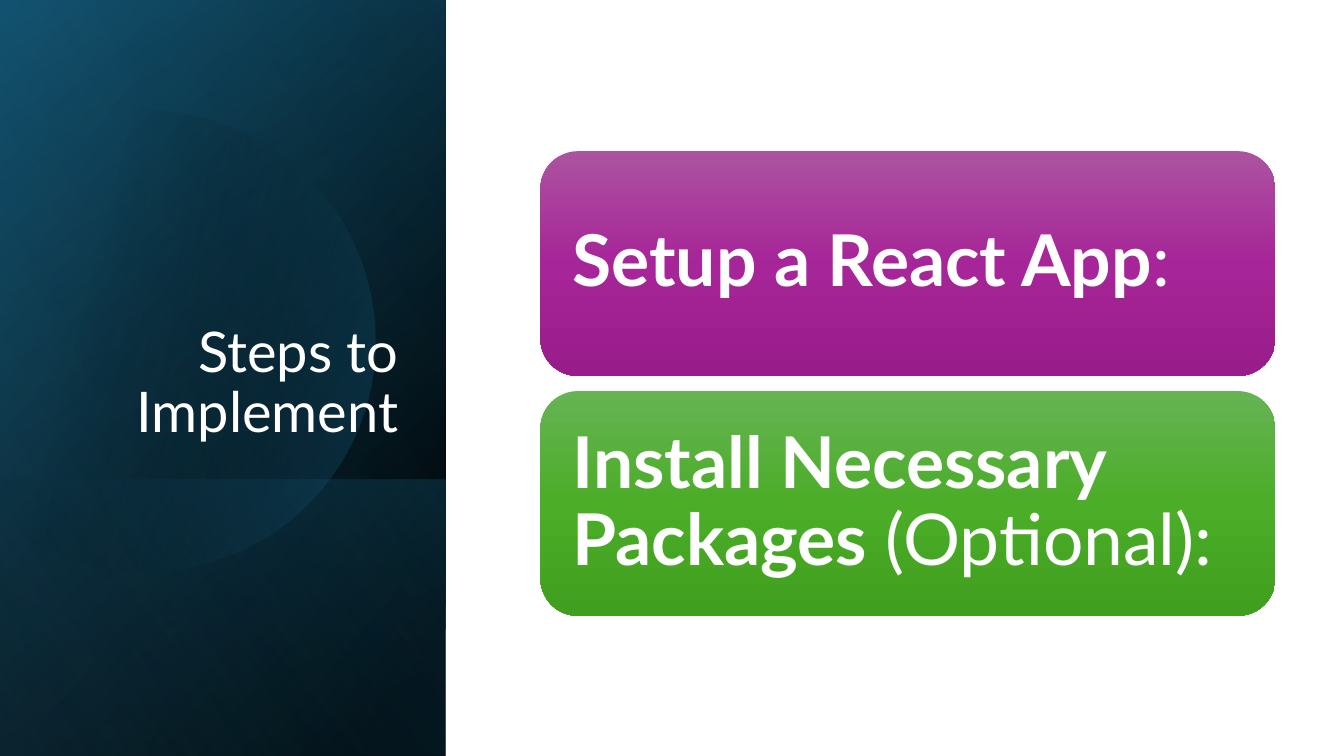
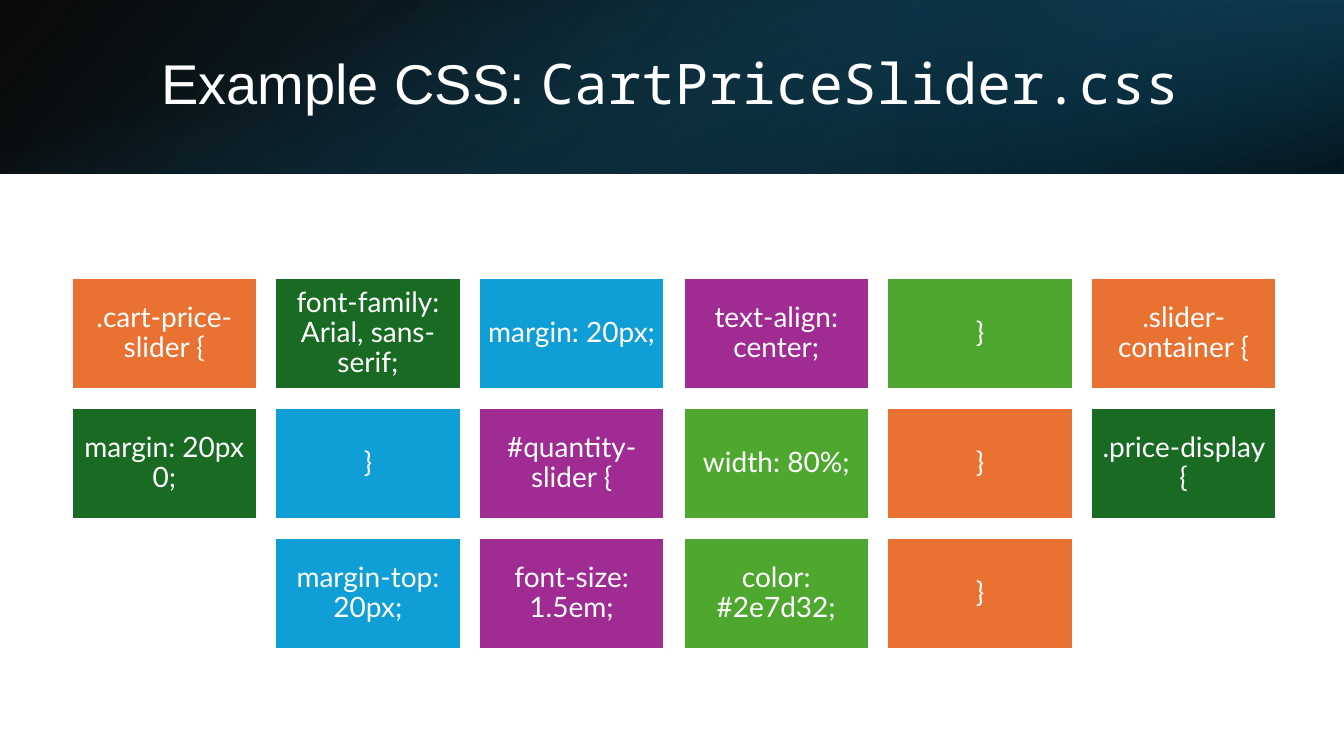
import dataclasses
import typing

import lxml.etree
import pptx
import pptx.dml.color
import pptx.enum.shapes
import pptx.enum.text
import pptx.oxml.ns
import pptx.util

PX = 9144  # EMU per px, 100 px to the inch
SLIDE_W, SLIDE_H = 1333, 750

SHAPES = pptx.enum.shapes.MSO_SHAPE
ALIGN = pptx.enum.text.PP_ALIGN
ANCHOR = pptx.enum.text.MSO_ANCHOR


@dataclasses.dataclass(frozen=True)
class Theme:
    white: str = "FFFFFF"
    black: str = "000000"
    navy: str = "104862"
    teal: str = "156082"
    deep_teal: str = "0B3041"
    sky: str = "46B1E1"
    accents: tuple[str, ...] = ("E97132", "196B24", "0F9ED5", "A02B93", "4EA72E")
    purple_card: tuple[str, ...] = ("AC53A0", "A62598", "991C8B")
    green_card: tuple[str, ...] = ("66B354", "4BAD28", "409F1E")
    body_font: str = "Lato"
    heading_font: str = "Arial"
    code_font: str = "Noto Sans Mono"
    title_size: int = 40
    card_size: int = 51
    tile_size: int = 20
    line_spacing: float = 0.9


THEME = Theme()


class Box(typing.NamedTuple):
    left: int
    top: int
    width: int
    height: int

    def emu(self) -> list[int]:
        return [value * PX for value in self]


class Stop(typing.NamedTuple):
    position: int
    color: str
    alpha: int = 100


class Gradient(typing.NamedTuple):
    angle: int
    stops: tuple[Stop, ...]


class Words(typing.NamedTuple):
    text: str
    font: str = THEME.body_font
    bold: bool = False


@dataclasses.dataclass(frozen=True)
class Layer:
    box: Box
    gradient: Gradient
    rotation: int = 90
    flipped: bool = True


@dataclasses.dataclass(frozen=True)
class Card:
    colors: tuple[str, ...]
    words: tuple[Words, ...]


# Side panel of the steps slide, from back to front
PANEL = Box(-154, 154, 750, 442)
PANEL_BACK = (
    Layer(PANEL, Gradient(50, (Stop(8, THEME.black), Stop(100, THEME.navy)))),
    Layer(PANEL, Gradient(30, (Stop(0, THEME.black, 0), Stop(99, THEME.teal, 46)))),
    Layer(Box(84, 392, 274, 442),
          Gradient(130, (Stop(2, THEME.teal, 29), Stop(100, THEME.black, 30)))),
)
PANEL_SHEEN = Layer(
    PANEL, Gradient(120, (Stop(0, THEME.black, 0), Stop(99, THEME.sky, 11))))
DISC_GLOW = Gradient(14, (Stop(29, THEME.black, 0), Stop(100, THEME.teal, 43)))

# Disc outline: a start point, then curves of two controls and an end point
DISC_START = (149, 110)
DISC_RIGHT = (
    ((246, 112), (335, 177), (363, 275)),
    ((398, 397), (328, 523), (207, 558)),
    ((131, 580), (53, 561), (-3, 514)),
)
DISC_EDGE = ((-15, 503), (-15, 175), (0, 161))
DISC_LEFT = (
    ((23, 142), (50, 128), (80, 119)),
    ((103, 113), (126, 110), DISC_START),
)
CURVE_STEPS = 24

# Header band of the stylesheet slide
HEADER_H = 172
HEADER = (
    Layer(Box(0, 0, SLIDE_W, HEADER_H),
          Gradient(140, (Stop(0, THEME.black, 96), Stop(100, THEME.navy))), 0),
    Layer(Box(889, 0, 444, HEADER_H),
          Gradient(320, (Stop(19, THEME.deep_teal, 68), Stop(100, THEME.teal, 79))), 180),
    Layer(Box(580, -580, HEADER_H, SLIDE_W),
          Gradient(340, (Stop(23, THEME.teal, 0), Stop(99, THEME.black, 74))), 90, False),
)

STEPS = (
    Card(THEME.purple_card, (Words("Setup a React App", bold=True), Words(":"))),
    Card(THEME.green_card,
         (Words("Install Necessary Packages", bold=True), Words(" (Optional):"))),
)
FIRST_CARD = Box(536, 150, 729, 223)
CARD_PITCH = 238
CARD_INSET = 21

CSS_ROWS = (
    (".cart-price-slider {", "font-family: Arial, sans-serif;", "margin: 20px;",
     "text-align: center;", "}", ".slider-container {"),
    ("margin: 20px 0;", "}", "#quantity-slider {", "width: 80%;", "}",
     ".price-display {"),
    ("margin-top: 20px;", "font-size: 1.5em;", "color: #2e7d32;", "}"),
)
TILE_GRID_LEFT, TILE_GRID_RIGHT, TILE_GRID_TOP = 71, 1266, 276
TILE_W, TILE_H, TILE_ROW_PITCH = 184, 110, 129
TILE_INSET = 8


def rgb(color: str) -> pptx.dml.color.RGBColor:
    return pptx.dml.color.RGBColor.from_string(color)


def fill_gradient(shape, gradient: Gradient) -> None:
    qn = pptx.oxml.ns.qn
    shape.shadow.inherit = False
    shape.line.fill.background()
    shape.fill.background()
    properties = shape.element.spPr
    grad = lxml.etree.Element(qn("a:gradFill"), rotWithShape="1")
    stops = lxml.etree.SubElement(grad, qn("a:gsLst"))
    for stop in gradient.stops:
        mark = lxml.etree.SubElement(stops, qn("a:gs"), pos=str(stop.position * 1000))
        color = lxml.etree.SubElement(mark, qn("a:srgbClr"), val=stop.color)
        if stop.alpha < 100:
            lxml.etree.SubElement(color, qn("a:alpha"), val=str(stop.alpha * 1000))
    lxml.etree.SubElement(grad, qn("a:lin"), ang=str(gradient.angle * 60000), scaled="0")
    properties.replace(properties.find(qn("a:noFill")), grad)


def write(shape, words: typing.Iterable[Words], size: int, align: ALIGN,
          anchor: ANCHOR = ANCHOR.MIDDLE, inset: int | None = None) -> None:
    frame = shape.text_frame
    frame.word_wrap = True
    frame.vertical_anchor = anchor
    if inset is not None:
        frame.margin_left = frame.margin_right = inset * PX
        frame.margin_top = frame.margin_bottom = inset * PX
    paragraph = frame.paragraphs[0]
    paragraph.alignment = align
    paragraph.line_spacing = THEME.line_spacing
    for part in words:
        run = paragraph.add_run()
        run.text = part.text
        run.font.name = part.font
        run.font.size = pptx.util.Pt(size)
        run.font.bold = part.bold
        run.font.color.rgb = rgb(THEME.white)


def add_title(slide, box: Box, words: typing.Iterable[Words], align: ALIGN,
              anchor: ANCHOR) -> None:
    write(slide.shapes.add_textbox(*box.emu()), words, THEME.title_size, align, anchor)


def add_layer(slide, layer: Layer) -> None:
    band = slide.shapes.add_shape(SHAPES.RECTANGLE, *layer.box.emu())
    band.rotation = layer.rotation
    if layer.flipped:
        band.element.spPr.xfrm.set("flipH", "1")
    fill_gradient(band, layer.gradient)


def curve_points(start: tuple, curves: tuple) -> list[tuple]:
    points = []
    for first, second, end in curves:
        for step in range(1, CURVE_STEPS + 1):
            t = step / CURVE_STEPS
            u = 1 - t
            points.append(tuple(
                u**3 * a + 3 * u * u * t * b + 3 * u * t * t * c + t**3 * d
                for a, b, c, d in zip(start, first, second, end)))
        start = end
    return points


def add_disc(slide) -> None:
    outline = [DISC_START, *curve_points(DISC_START, DISC_RIGHT), *DISC_EDGE,
               *curve_points(DISC_EDGE[-1], DISC_LEFT)]
    corners = [(round(x * PX), round(y * PX)) for x, y in outline]
    builder = slide.shapes.build_freeform(*corners[0])
    builder.add_line_segments(corners[1:], close=True)
    fill_gradient(builder.convert_to_shape(), DISC_GLOW)


def add_card(slide, card: Card, box: Box) -> None:
    panel = slide.shapes.add_shape(SHAPES.ROUNDED_RECTANGLE, *box.emu())
    stops = tuple(Stop(50 * i, color) for i, color in enumerate(card.colors))
    fill_gradient(panel, Gradient(90, stops))
    write(panel, card.words, THEME.card_size, ALIGN.LEFT, inset=CARD_INSET)


def add_tile(slide, code: str, color: str, box: Box) -> None:
    tile = slide.shapes.add_shape(SHAPES.RECTANGLE, *box.emu())
    tile.shadow.inherit = False
    tile.fill.solid()
    tile.fill.fore_color.rgb = rgb(color)
    tile.line.color.rgb = rgb(THEME.white)
    tile.line.width = pptx.util.Pt(1.5)
    write(tile, [Words(code)], THEME.tile_size, ALIGN.CENTER, inset=TILE_INSET)


def build_steps(slide) -> None:
    # Dark side panel with its disc
    for layer in PANEL_BACK:
        add_layer(slide, layer)
    add_disc(slide)
    add_layer(slide, PANEL_SHEEN)
    add_title(slide, Box(64, 184, 341, 262), [Words("Steps to Implement")],
              ALIGN.RIGHT, ANCHOR.BOTTOM)
    # Step cards
    for i, card in enumerate(STEPS):
        add_card(slide, card, FIRST_CARD._replace(top=FIRST_CARD.top + i * CARD_PITCH))


def build_stylesheet(slide) -> None:
    # Header band
    for layer in HEADER:
        add_layer(slide, layer)
    add_title(slide, Box(150, 38, 1098, 96),
              [Words("Example CSS: ", THEME.heading_font),
               Words("CartPriceSlider.css", THEME.code_font)],
              ALIGN.LEFT, ANCHOR.MIDDLE)
    # Code tiles: short rows are centred, colours run on from row to row
    columns = len(CSS_ROWS[0])
    pitch = (TILE_GRID_RIGHT - TILE_GRID_LEFT - TILE_W) / (columns - 1)
    count = 0
    for row, codes in enumerate(CSS_ROWS):
        indent = (columns - len(codes)) / 2
        for column, code in enumerate(codes):
            left = round(TILE_GRID_LEFT + (indent + column) * pitch)
            top = TILE_GRID_TOP + row * TILE_ROW_PITCH
            color = THEME.accents[count % len(THEME.accents)]
            add_tile(slide, code, color, Box(left, top, TILE_W, TILE_H))
            count += 1


def main() -> None:
    deck = pptx.Presentation()
    deck.slide_width, deck.slide_height = SLIDE_W * PX, SLIDE_H * PX
    blank = deck.slide_layouts[6]
    for build in (build_steps, build_stylesheet):
        build(deck.slides.add_slide(blank))
    deck.save("out.pptx")


if __name__ == "__main__":
    main()
